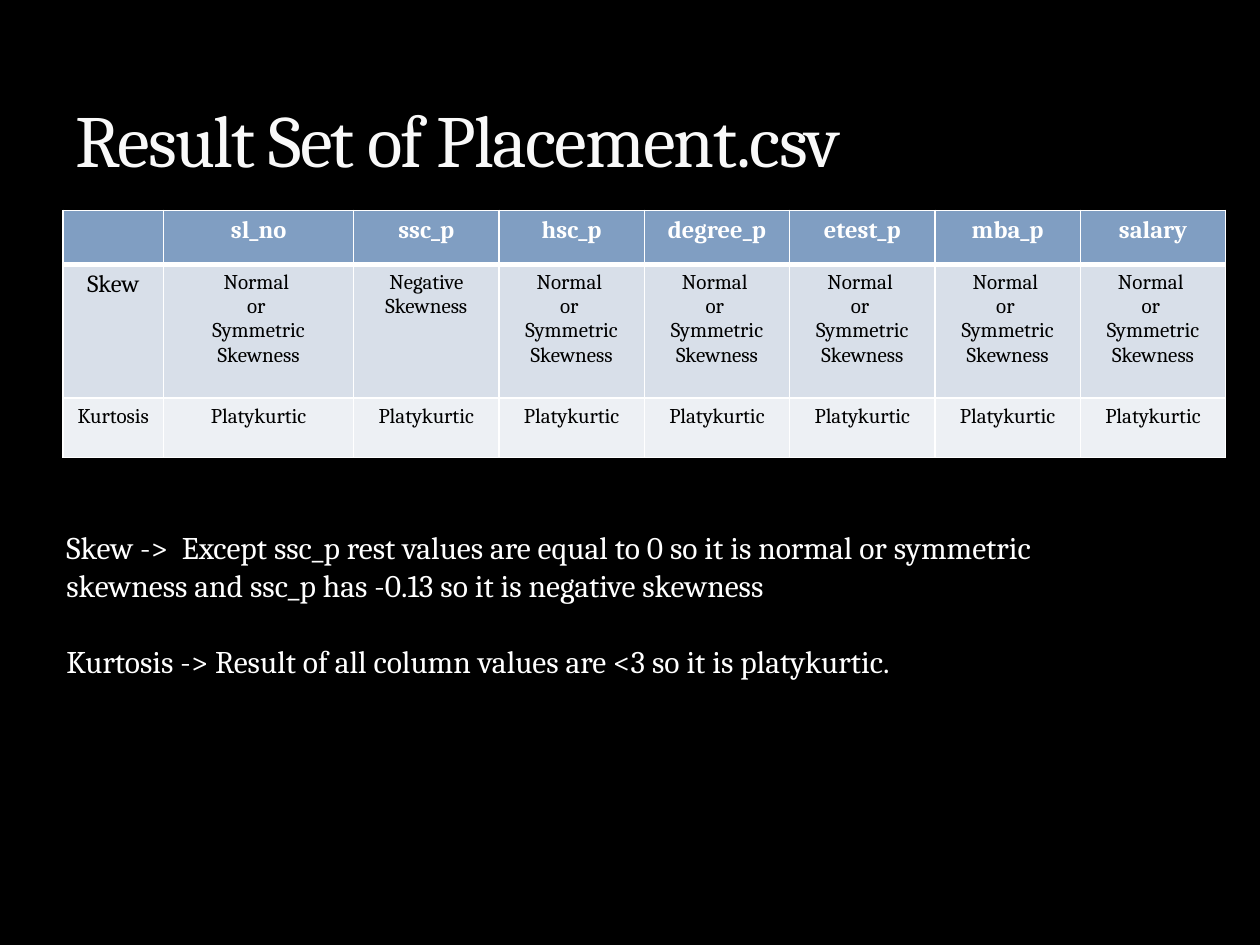
from lxml import etree
from pptx import Presentation
from pptx.dml.color import RGBColor
from pptx.enum.text import MSO_ANCHOR, MSO_AUTO_SIZE, PP_ALIGN
from pptx.oxml.ns import qn
from pptx.util import Cm, Pt

CENTER, LEFT = PP_ALIGN.CENTER, PP_ALIGN.LEFT
BOTTOM = MSO_ANCHOR.BOTTOM
NO_FIT, GROW = MSO_AUTO_SIZE.NONE, MSO_AUTO_SIZE.SHAPE_TO_FIT_TEXT
COLORS = {"black": "000000", "white": "FFFFFF", "title": "F9F9F9",
          "header": "809EC2", "skew": "D8DFE9", "kurtosis": "EDF0F4"}


def style(p, size, color, align=LEFT, bold=False):
    p.alignment = align
    p.font.name = "Cambria"
    p.font.size = Pt(size)
    p.font.bold = bold
    p.font.color.rgb = RGBColor.from_string(COLORS[color])


def add_borders(cell, widths):
    tcPr = cell._tc.get_or_add_tcPr()
    for i, (side, width) in enumerate(widths.items()):
        ln = etree.Element(qn(f"a:ln{side}"), w=str(Pt(width)))
        fill = etree.SubElement(ln, qn("a:solidFill"))
        etree.SubElement(fill, qn("a:srgbClr"), val=COLORS["white"])
        tcPr.insert(i, ln)


prs = Presentation()
prs.slide_width, prs.slide_height = Cm(25.4), Cm(19.05)
s = prs.slides.add_slide(prs.slide_layouts[5])
s.background.fill.solid()
s.background.fill.fore_color.rgb = RGBColor.from_string(COLORS["black"])

# Title
sp = s.shapes.title
sp.left, sp.top, sp.width, sp.height = Cm(1.27), Cm(0.43), Cm(22.86), Cm(3.38)
tf = sp.text_frame
tf.text = "Result Set of Placement.csv"
tf.auto_size = NO_FIT
tf.vertical_anchor = BOTTOM
style(tf.paragraphs[0], 42, "title")
tf.paragraphs[0].runs[0].font._element.set("spc", "-100")

# Result table
normal = "Normal \nor \nSymmetric Skewness"
rows = [
    ["", "sl_no", "ssc_p", "hsc_p", "degree_p", "etest_p", "mba_p", "salary"],
    ["Skew", normal, "Negative Skewness"] + [normal] * 5,
    ["Kurtosis"] + ["Platykurtic"] * 7,
]
fills = ["header", "skew", "kurtosis"]
col_widths = [2.03, 3.83] + [2.93] * 6
row_heights = [1.09, 2.69, 1.2]
table = s.shapes.add_table(3, 8, Cm(1.27), Cm(4.24),
                           Cm(sum(col_widths)), Cm(sum(row_heights))).table
for column, width in zip(table.columns, col_widths):
    column.width = Cm(width)
for i, (row, texts) in enumerate(zip(table.rows, rows)):
    row.height = Cm(row_heights[i])
    for j, text in enumerate(texts):
        cell = row.cells[j]
        cell.text = text
        cell.fill.solid()
        cell.fill.fore_color.rgb = RGBColor.from_string(COLORS[fills[i]])
        header = i == 0
        size = 14 if header or text == "Skew" else 12
        for p in cell.text_frame.paragraphs:
            style(p, size, "white" if header else "black", CENTER, header)
        add_borders(cell, {"L": 1, "R": 1, "T": 3 if i == 1 else 1,
                           "B": 3 if header else 1})

# Explanation
sp = s.shapes.add_textbox(Cm(1.09), Cm(10.52), Cm(22.61), Cm(4.11))
tf = sp.text_frame
tf.word_wrap = True
tf.auto_size = GROW
tf.margin_right = Cm(0.8)
tf.text = ("Skew ->  Except ssc_p rest values are equal to 0 so it is normal or "
           "symmetric skewness and ssc_p has -0.13 so it is negative skewness\n"
           "Kurtosis -> Result of all column values are <3 so it is platykurtic.")
for p in tf.paragraphs:
    style(p, 18, "white")
tf.paragraphs[1].space_before = Pt(21.7)

prs.save("out.pptx")
